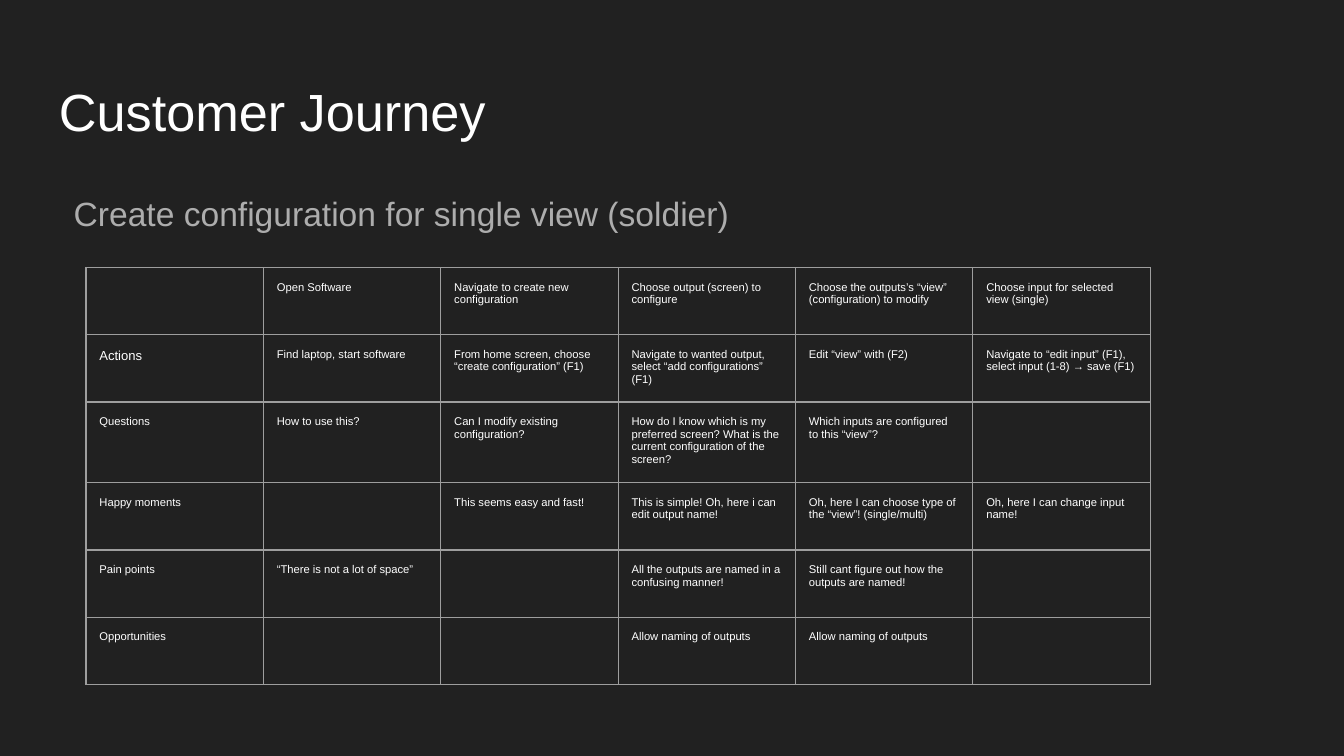
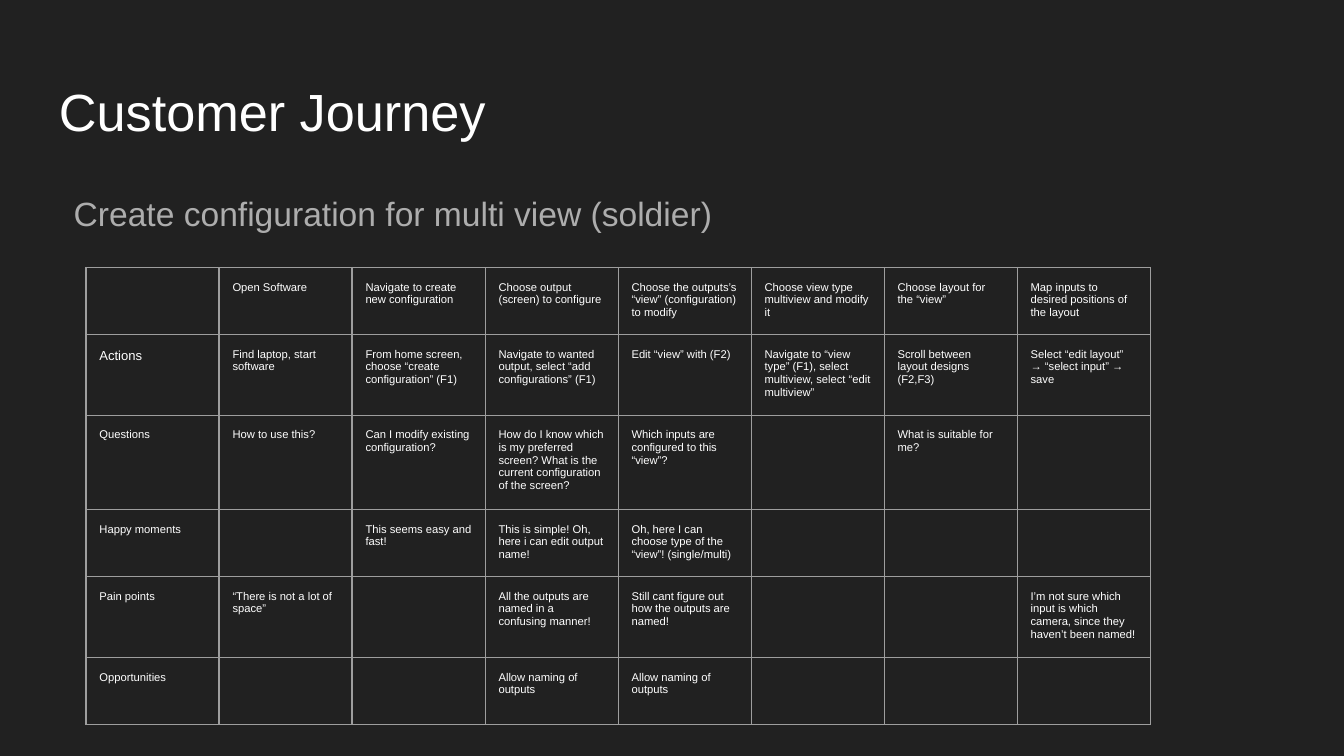
from lxml.etree import SubElement
from pptx import Presentation
from pptx.dml.color import RGBColor
from pptx.oxml.ns import qn
from pptx.util import Inches, Pt

BACKGROUND, WHITE, GREY, BORDER = "212121", "FFFFFF", "ADADAD", "9E9E9E"
FONT = "Arial"
MARGIN = Inches(0.1)
TABLE_LEFT, TABLE_TOP, TABLE_WIDTH, ROW_HEIGHT = 0.64, 1.99, 7.92, 0.42

# Every column reads: stage, then one entry for each of these rows.
ROW_LABELS = ["", "Actions", "Questions", "Happy moments", "Pain points", "Opportunities"]
SHARED_STAGES = [
    ["Open Software", "Find laptop, start software", "How to use this?", "",
     "“There is not a lot of space”", ""],
    ["Navigate to create new configuration",
     "From home screen, choose “create configuration” (F1)",
     "Can I modify existing configuration?", "This seems easy and fast!", "", ""],
    ["Choose output (screen) to configure",
     "Navigate to wanted output, select “add configurations” (F1)",
     "How do I know which is my preferred screen? "
     "What is the current configuration of the screen?",
     "This is simple! Oh, here i can edit output name!",
     "All the outputs are named in a confusing manner!", "Allow naming of outputs"],
    ["Choose the outputs’s “view” (configuration) to modify", "Edit “view” with (F2)",
     "Which inputs are configured to this “view”?",
     "Oh, here I can choose type of the “view”! (single/multi)",
     "Still cant figure out how the outputs are named!", "Allow naming of outputs"],
]
SINGLE_STAGES = [
    ["Choose input for selected view (single)",
     "Navigate to “edit input” (F1), select input (1-8) → save (F1)", "",
     "Oh, here I can change input name!", "", ""],
]
MULTI_STAGES = [
    ["Choose view type multiview and modify it",
     "Navigate to “view type” (F1), select multiview, select “edit multiview”",
     "", "", "", ""],
    ["Choose layout for the “view”", "Scroll between layout designs (F2,F3)",
     "What is suitable for me?", "", "", ""],
    ["Map inputs to desired positions of the layout",
     "Select “edit layout” → “select input” → save", "", "",
     "I’m not sure which input is which camera, since they haven’t been named!", ""],
]
JOURNEYS = [
    ("Create configuration for single view (soldier)", SINGLE_STAGES),
    ("Create configuration for multi view (soldier)", MULTI_STAGES),
]


def rgb(color):
    return RGBColor.from_string(color)


def write(tf, text, size, color):
    """Fill a text frame with one run and return its paragraph."""
    tf.word_wrap = True
    tf.margin_left = tf.margin_right = tf.margin_top = tf.margin_bottom = MARGIN
    p = tf.paragraphs[0]
    r = p.add_run()
    r.text = text
    r.font.name, r.font.size = FONT, Pt(size)
    r.font.color.rgb = rgb(color)
    return p


prs = Presentation()
prs.slide_width, prs.slide_height = Inches(10), Inches(5.625)

for subtitle, last_stages in JOURNEYS:
    s = prs.slides.add_slide(prs.slide_layouts[6])
    s.background.fill.solid()
    s.background.fill.fore_color.rgb = rgb(BACKGROUND)

    title = s.shapes.add_textbox(Inches(0.34), Inches(0.49), Inches(9.32), Inches(0.63))
    write(title.text_frame, "Customer Journey", 28, WHITE)

    body = s.shapes.add_textbox(Inches(0.45), Inches(1.29), Inches(9.32), Inches(3.74))
    p = write(body.text_frame, subtitle, 18, GREY)
    p.line_spacing, p.space_after = 1.15, Pt(16)

    columns = [ROW_LABELS] + SHARED_STAGES + last_stages
    table = s.shapes.add_table(
        len(ROW_LABELS), len(columns), Inches(TABLE_LEFT), Inches(TABLE_TOP),
        Inches(TABLE_WIDTH), Inches(ROW_HEIGHT * len(ROW_LABELS))).table
    table.first_row = table.horz_banding = False
    for column in table.columns:
        column.width = Inches(TABLE_WIDTH / len(columns))

    for col, texts in enumerate(columns):
        for row, text in enumerate(texts):
            cell = table.cell(row, col)
            cell.margin_left = cell.margin_right = MARGIN
            cell.margin_top = cell.margin_bottom = MARGIN
            if text:
                write(cell.text_frame, text, 7 if text == "Actions" else 6, WHITE)
            tcPr = cell._tc.get_or_add_tcPr()
            for side in ("a:lnL", "a:lnR", "a:lnT", "a:lnB"):
                ln = SubElement(tcPr, qn(side), w=str(Pt(0.75)))
                SubElement(SubElement(ln, qn("a:solidFill")), qn("a:srgbClr"), val=BORDER)
            cell.fill.background()

prs.save("out.pptx")
